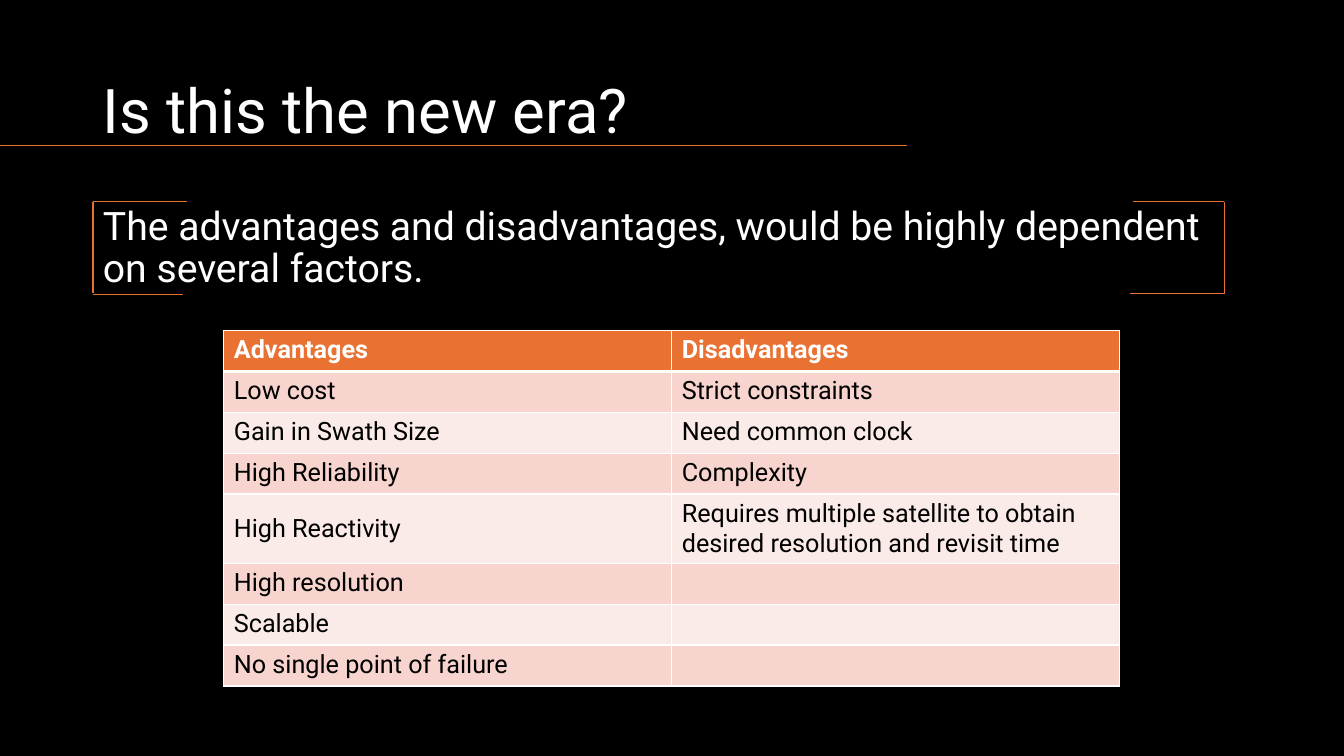
"""Build the slide weighing the advantages and disadvantages of a new era."""
from dataclasses import dataclass

from lxml import etree
from pptx import Presentation
from pptx import util as u
from pptx.dml.color import RGBColor
from pptx.enum import shapes, text
from pptx.oxml.ns import qn

COLOURS = {
    "background": "000000",
    "light": "FFFFFF",
    "dark": "000000",
    "accent": "E97132",
    "odd_row": "F7D5CE",
    "even_row": "FBEBE8",
}
FONT = "Roboto"
ROWS = [
    ("Advantages", "Disadvantages"),
    ("Low cost", "Strict constraints"),
    ("Gain in Swath Size", "Need common clock"),
    ("High Reliability", "Complexity"),
    ("High Reactivity", "Requires multiple satellite to obtain desired resolution and revisit time"),
    ("High resolution", ""),
    ("Scalable", ""),
    ("No single point of failure", ""),
]
CENTRED_ROW = 4


@dataclass(frozen=True)
class Line:
    """A straight line between two points in centimetres."""
    x1: float
    y1: float
    x2: float
    y2: float


@dataclass(frozen=True)
class Heading:
    """A placeholder with its wording, place in centimetres and text size."""
    index: int
    wording: str
    top: float
    height: float
    size: int
    anchor: text.MSO_ANCHOR


HEADINGS = [
    Heading(0, "Is this the new era?", 1.02, 3.68, 44, text.MSO_ANCHOR.MIDDLE),
    Heading(1, "The advantages and disadvantages, would be highly dependent on several factors.",
            5.08, 12.09, 28, text.MSO_ANCHOR.TOP),
]
TITLE_RULE = Line(0, 3.66, 22.86, 3.66)
LEFT_BRACKET = [
    Line(2.34, 5.08, 2.34, 7.39),
    Line(2.34, 7.42, 4.62, 7.42),
    Line(2.34, 5.08, 4.7, 5.08),
]
RIGHT_BRACKET = [
    Line(30.86, 7.39, 30.86, 5.08),
    Line(30.84, 5.08, 28.55, 5.08),
    Line(30.86, 7.39, 28.47, 7.39),
]


def colour(name: str) -> RGBColor:
    """Return a named colour."""
    return RGBColor.from_string(COLOURS[name])


def style(para, size: int, name: str, bold: bool = False) -> None:
    """Set the font of a whole paragraph."""
    font = para.font
    font.name, font.size, font.bold = FONT, u.Pt(size), bold
    font.color.rgb = colour(name)


def fill_heading(page, heading: Heading) -> None:
    """Place and format one template placeholder."""
    box = page.placeholders[heading.index]
    box.left, box.top = u.Cm(2.34), u.Cm(heading.top)
    box.width, box.height = u.Cm(29.21), u.Cm(heading.height)
    frame = box.text_frame
    frame.text = heading.wording
    frame.word_wrap = True
    frame.auto_size = text.MSO_AUTO_SIZE.NONE
    frame.vertical_anchor = heading.anchor
    para = frame.paragraphs[0]
    para.alignment = text.PP_ALIGN.LEFT
    para.line_spacing = 0.9
    para.space_before = u.Pt(0)
    properties = para._p.get_or_add_pPr()
    properties.set("marL", "0")
    properties.set("indent", "0")
    etree.SubElement(properties, qn("a:buNone"))
    style(para, heading.size, "light")


def draw_line(parent, line: Line) -> None:
    """Draw one accent line on a page or in a group."""
    connector = parent.shapes.add_connector(
        shapes.MSO_CONNECTOR.STRAIGHT,
        u.Cm(line.x1), u.Cm(line.y1), u.Cm(line.x2), u.Cm(line.y2))
    connector.line.color.rgb = colour("accent")
    connector.line.width = u.Pt(1)
    etree.SubElement(connector._element.spPr, qn("a:effectLst"))


def add_borders(cell, top: int, bottom: int) -> None:
    """Give a cell light borders, with top and bottom widths in points."""
    properties = cell._tc.get_or_add_tcPr()
    for side, width in (("lnL", 1), ("lnR", 1), ("lnT", top), ("lnB", bottom)):
        border = etree.SubElement(properties, qn(f"a:{side}"), w=str(u.Pt(width)))
        solid = etree.SubElement(border, qn("a:solidFill"))
        etree.SubElement(solid, qn("a:srgbClr"), val=COLOURS["light"])


def fill_cell(cell, row: int, wording: str) -> None:
    """Write and format one table cell."""
    header = row == 0
    add_borders(cell, top=3 if row == 1 else 1, bottom=3 if header else 1)
    cell.fill.solid()
    cell.fill.fore_color.rgb = colour("accent" if header else "odd_row" if row % 2 else "even_row")
    cell.text = wording
    style(cell.text_frame.paragraphs[0], 18, "light" if header else "dark", header)


def add_comparison(page) -> None:
    """Add the table of advantages and disadvantages."""
    table = page.shapes.add_table(
        len(ROWS), 2, u.Cm(5.64), u.Cm(8.33), u.Cm(22.58), u.Cm(1.03 * len(ROWS))).table
    for row, wordings in enumerate(ROWS):
        table.rows[row].height = u.Cm(1.03)
        for column, wording in enumerate(wordings):
            fill_cell(table.cell(row, column), row, wording)
    centred = table.cell(CENTRED_ROW, 0)
    centred.vertical_anchor = text.MSO_ANCHOR.MIDDLE
    centred.text_frame.paragraphs[0].alignment = text.PP_ALIGN.JUSTIFY


def main() -> None:
    """Build and save the deck."""
    deck = Presentation()
    deck.slide_width, deck.slide_height = u.Cm(33.87), u.Cm(19.05)
    page = deck.slides.add_slide(deck.slide_layouts[1])
    page.background.fill.solid()
    page.background.fill.fore_color.rgb = colour("background")
    for heading in HEADINGS:
        fill_heading(page, heading)
    add_comparison(page)
    draw_line(page, TITLE_RULE)
    for bracket in (LEFT_BRACKET, RIGHT_BRACKET):
        group = page.shapes.add_group_shape()
        for line in bracket:
            draw_line(group, line)
    deck.save("out.pptx")


if __name__ == "__main__":
    main()
